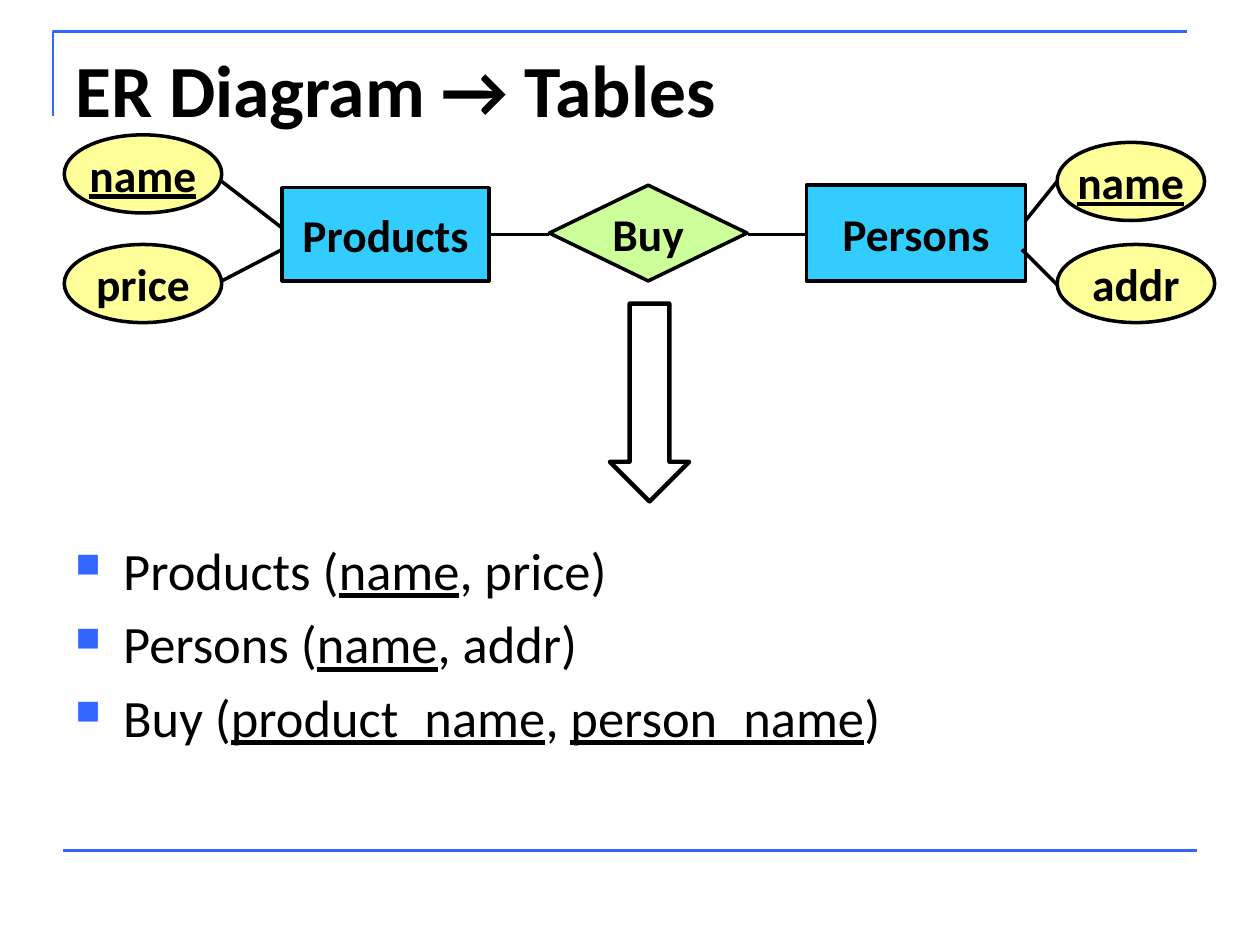
import pptx
import pptx.util
import pptx.dml.color
import pptx.enum.shapes
import pptx.enum.text
import pptx.oxml
import pptx.oxml.ns
import lxml.etree

Inches = pptx.util.Inches
Pt = pptx.util.Pt
SHAPE = pptx.enum.shapes.MSO_SHAPE
BLUE, BLACK, CYAN, YELLOW, GREEN = "3366FF", "000000", "33CCFF", "FFFF99", "CCFF99"


def color(value):
    return pptx.dml.color.RGBColor.from_string(value)


def add_line(x1, y1, x2, y2, line_color, width):
    line = page.shapes.add_connector(
        pptx.enum.shapes.MSO_CONNECTOR.STRAIGHT,
        Inches(x1), Inches(y1), Inches(x2), Inches(y2))
    line.line.color.rgb = color(line_color)
    line.line.width = Pt(width)
    properties = line._element.spPr
    lxml.etree.SubElement(properties, pptx.oxml.ns.qn("a:effectLst"))


deck = pptx.Presentation()
deck.slide_width = Inches(10)
deck.slide_height = Inches(7.5)
page = deck.slides.add_slide(deck.slide_layouts[6])

builder = page.shapes.build_freeform(Inches(0.42), Inches(0.92))
builder.add_line_segments(
    [(Inches(0.42), Inches(0.25)), (Inches(9.42), Inches(0.25))], close=False)
corner = builder.convert_to_shape()
corner.shadow.inherit = False
corner.fill.background()
corner.line.color.rgb = color(BLUE)
corner.line.width = Pt(1.5)
add_line(0.5, 6.75, 9.5, 6.75, BLUE, 1.5)

title = page.shapes.add_textbox(Inches(0.5), Inches(0.3), Inches(9), Inches(1.25))
title.text_frame.word_wrap = True
title.text_frame.text = "ER Diagram → Tables"
font = title.text_frame.paragraphs[0].font
font.name, font.size, font.bold = "Calibri", Pt(42), True
font.color.rgb = color(BLACK)

relations = [
    [("Products (", False), ("name", True), (", price)", False)],
    [("Persons (", False), ("name", True), (", addr)", False)],
    [("Buy (", False), ("product_name", True), (", ", False),
     ("person_name", True), (")", False)],
]
body = page.shapes.add_textbox(Inches(0.5), Inches(4.22), Inches(9), Inches(2.48))
body.text_frame.word_wrap = True
for index, parts in enumerate(relations):
    para = body.text_frame.paragraphs[0] if index == 0 else body.text_frame.add_paragraph()
    properties = para._p.get_or_add_pPr()
    properties.set("marL", str(Inches(0.38)))
    properties.set("indent", str(Inches(-0.38)))
    if index:
        para.space_before = Pt(6)
    bullet_color = lxml.etree.SubElement(properties, pptx.oxml.ns.qn("a:buClr"))
    lxml.etree.SubElement(bullet_color, pptx.oxml.ns.qn("a:srgbClr"), val=BLUE)
    lxml.etree.SubElement(properties, pptx.oxml.ns.qn("a:buSzPct"), val="65000")
    lxml.etree.SubElement(properties, pptx.oxml.ns.qn("a:buChar"), char="■")
    for text, underlined in parts:
        span = para.add_run()
        span.text = text
        span.font.name, span.font.size = "Calibri", Pt(30)
        span.font.underline = underlined
        span.font.color.rgb = color(BLACK)

nodes = [
    ("Persons", SHAPE.RECTANGLE, CYAN, 6.4, 1.47, 1.74, 0.76, False),
    ("addr", SHAPE.OVAL, YELLOW, 8.39, 1.94, 1.25, 0.62, False),
    ("name", SHAPE.OVAL, YELLOW, 8.39, 1.13, 1.17, 0.62, True),
    ("Products", SHAPE.RECTANGLE, CYAN, 2.24, 1.49, 1.64, 0.74, False),
    ("name", SHAPE.OVAL, YELLOW, 0.51, 1.07, 1.25, 0.62, True),
    ("price", SHAPE.OVAL, YELLOW, 0.51, 1.94, 1.25, 0.62, False),
    ("Buy", SHAPE.DIAMOND, GREEN, 4.36, 1.47, 1.57, 0.76, False),
]
for text, kind, fill, left, top, width, height, is_key in nodes:
    node = page.shapes.add_shape(
        kind, Inches(left), Inches(top), Inches(width), Inches(height))
    node.shadow.inherit = False
    node.fill.solid()
    node.fill.fore_color.rgb = color(fill)
    node.line.color.rgb = color(BLACK)
    node.line.width = Pt(2)
    frame = node.text_frame
    frame.word_wrap = False
    frame.vertical_anchor = pptx.enum.text.MSO_ANCHOR.MIDDLE
    frame.text = text
    para = frame.paragraphs[0]
    para.alignment = pptx.enum.text.PP_ALIGN.CENTER
    span = para.runs[0]
    span.font.name, span.font.size, span.font.bold = "Calibri", Pt(26), True
    span.font.underline = is_key
    span.font.color.rgb = color(BLACK)

links = [
    (8.11, 1.98, 8.39, 2.26),
    (8.39, 1.44, 8.14, 1.75),
    (1.76, 1.44, 2.24, 1.81),
    (2.24, 1.98, 1.76, 2.23),
    (4.36, 1.86, 3.89, 1.86),
    (5.94, 1.86, 6.4, 1.86),
]
for link in links:
    add_line(*link, BLACK, 2)

arrow = page.shapes.add_shape(
    SHAPE.DOWN_ARROW, Inches(4.84), Inches(2.41), Inches(0.63), Inches(1.57))
arrow.shadow.inherit = False
arrow.fill.background()
arrow.line.color.rgb = color(BLACK)
arrow.line.width = Pt(2.5)

deck.save("out.pptx")
